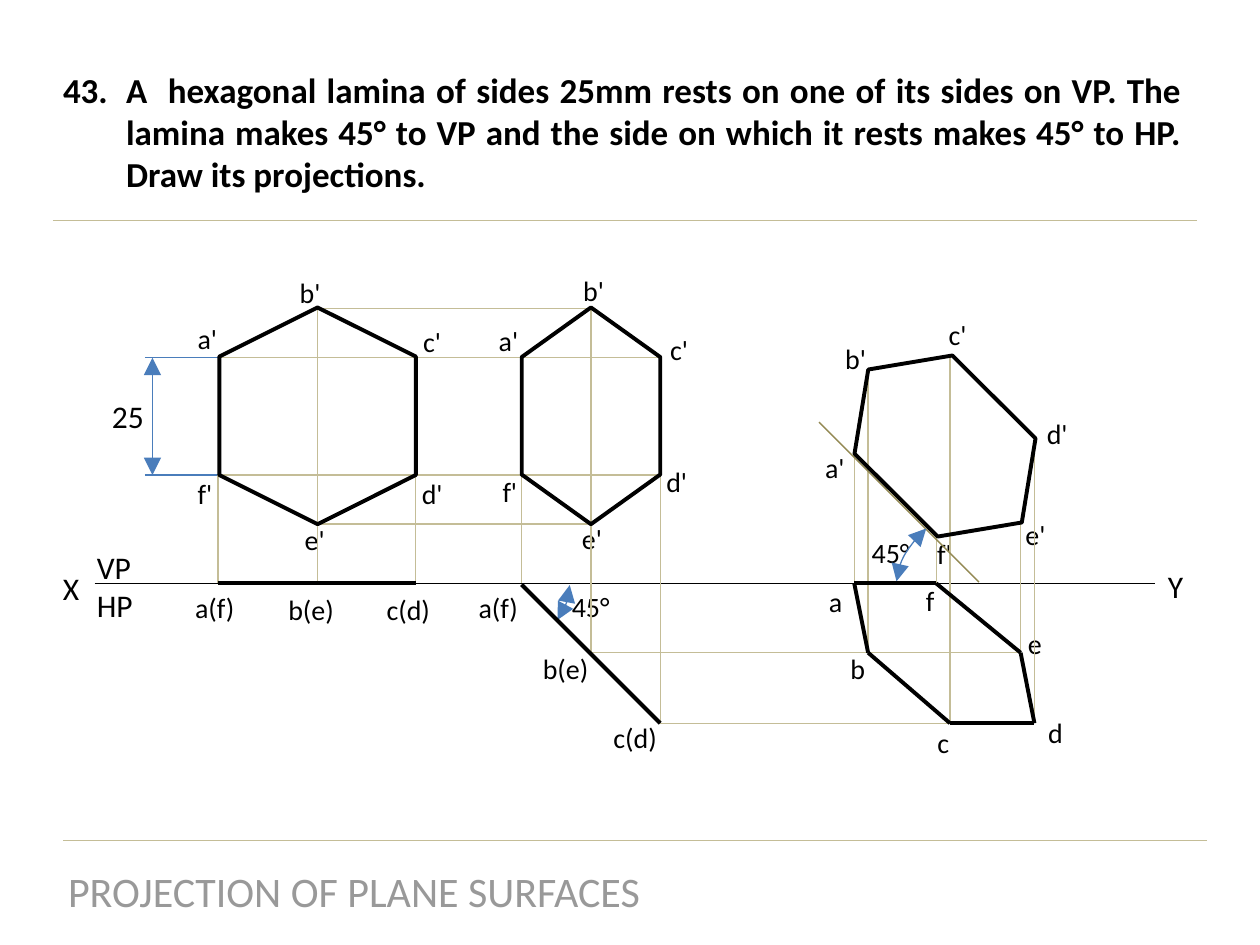
from lxml import etree
from pptx import Presentation
from pptx.dml.color import RGBColor
from pptx.enum.shapes import MSO_CONNECTOR, MSO_SHAPE
from pptx.enum.text import MSO_ANCHOR, MSO_AUTO_SIZE, PP_ALIGN
from pptx.oxml.ns import qn
from pptx.util import Inches, Pt

BLACK = RGBColor(0x00, 0x00, 0x00)
GRAY = RGBColor(0x99, 0x99, 0x99)
BEIGE = RGBColor(0xC4, 0xBD, 0x97)
OLIVE = RGBColor(0x93, 0x89, 0x53)
BLUE = RGBColor(0x4A, 0x7D, 0xBB)
FONT = "Calibri"
THIN, THICK = 0.75, 2.25

PROBLEM = ("A  hexagonal lamina of sides 25mm rests on one of its sides on VP. "
           "The lamina makes 45° to VP and the side on which it rests makes 45° to HP. "
           "Draw its projections.")
TOPIC = "PROJECTION OF PLANE SURFACES"

# Heights shared by the views
XY = 4.63
TOP, UPPER, LOWER, BOTTOM = 2.45, 2.84, 3.77, 4.16
MIDDLE_DEPTH, FULL_DEPTH = 5.18, 5.74
# Columns of the first and second views
LEFT_1, CENTRE_1, RIGHT_1 = 1.73, 2.52, 3.3
LEFT_2, CENTRE_2, RIGHT_2 = 4.14, 4.69, 5.24
# Final top view, by corner
FINAL_TOP = {"a": (6.78, XY), "b": (6.89, MIDDLE_DEPTH), "c": (7.54, FULL_DEPTH),
             "d": (8.21, FULL_DEPTH), "e": (8.1, MIDDLE_DEPTH), "f": (7.43, XY)}
FINAL_FRONT_HEIGHT = {"a": 3.6, "b": 2.93, "c": 2.82, "d": 3.47, "e": 4.14, "f": 4.25}

# Labels: text, left, top
AXIS_LABELS = [("X", 0.4, 4.47), ("Y", 9.17, 4.45), ("VP\nHP", 0.67, 4.3), ("25", 0.79, 3.1)]
POINT_LABELS = [
    # first view
    ("a'", 1.47, 2.5), ("b'", 2.28, 2.14), ("c'", 3.26, 2.53),
    ("d'", 3.25, 3.73), ("e'", 2.32, 4.1), ("f'", 1.47, 3.73),
    ("a(f)", 1.45, 4.64), ("b(e)", 2.19, 4.65), ("c(d)", 2.97, 4.65),
    # second view
    ("a'", 3.86, 2.52), ("b'", 4.53, 2.12), ("c'", 5.22, 2.59),
    ("d'", 5.19, 3.64), ("e'", 4.52, 4.09), ("f'", 3.89, 3.72),
    ("a(f)", 3.7, 4.64), ("b(e)", 4.21, 5.12), ("c(d)", 4.77, 5.67), ("45°", 4.44, 4.63),
    # final view
    ("a'", 6.45, 3.53), ("b'", 6.61, 2.66), ("c'", 7.43, 2.47),
    ("d'", 8.21, 3.26), ("e'", 8.04, 4.06), ("f'", 7.34, 4.21),
    ("a", 6.48, 4.59), ("b", 6.65, 5.12), ("c", 7.34, 5.71),
    ("d", 8.22, 5.63), ("e", 8.06, 4.92), ("f", 7.25, 4.58), ("45°", 6.82, 4.2),
]
# Box widths by label length, for each text size
AXIS_WIDTHS = {1: 0.33, 2: 0.48, 5: 0.49}
POINT_WIDTHS = {1: 0.32, 2: 0.37, 3: 0.56, 4: 0.56}

# Projectors and rules: x1, y1, x2, y2
BEIGE_LINES = [
    (0.5, 6.67, 9.58, 6.67), (0.42, 1.75, 9.5, 1.75),
    (LEFT_1, LOWER, LEFT_1, XY), (CENTRE_1, TOP, CENTRE_1, XY), (RIGHT_1, LOWER, RIGHT_1, XY),
    (LEFT_2, UPPER, LEFT_2, XY), (CENTRE_2, TOP, CENTRE_2, MIDDLE_DEPTH),
    (RIGHT_2, UPPER, RIGHT_2, FULL_DEPTH),
    (CENTRE_1, TOP, CENTRE_2, TOP), (LEFT_1, UPPER, RIGHT_2, UPPER),
    (LEFT_1, LOWER, RIGHT_2, LOWER), (CENTRE_1, BOTTOM, CENTRE_2, BOTTOM),
    (CENTRE_2, MIDDLE_DEPTH, *FINAL_TOP["e"]), (RIGHT_2, FULL_DEPTH, *FINAL_TOP["d"]),
]
EDGE_VIEWS = [(LEFT_1, XY, RIGHT_1, XY), (LEFT_2, XY + 0.01, RIGHT_2, FULL_DEPTH)]

# Hexagons: left, top, width, height, rotation, corner inset
HEXAGONS = [(1.66, 2.52, 1.72, 1.56, 90, 0.25),
            (3.83, 2.75, 1.72, 1.1, 90, 0.358),
            (6.64, 2.99, 1.72, 1.1, 44.9, 0.358)]
# Angle marks: left, top, width, height, rotation, start and end adjustments
ANGLE_ARCS = [(3.96, 4.38, 0.51, 0.79, 34.5, 181.37, 0.28),
              (7.31, 3.77, 0.74, 1.27, 235.8, 170.38, 202.15)]


def set_font(font, size, color, bold=False):
    font.name, font.size, font.bold = FONT, Pt(size), bold
    font.color.rgb = color


def place(box, left, top, width, height):
    box.left, box.top, box.width, box.height = map(Inches, (left, top, width, height))


def add_label(slide, text, left, top, width, size):
    lines = text.count("\n") + 1
    box = slide.shapes.add_textbox(Inches(left), Inches(top), Inches(width),
                                   Inches(0.1 + lines * size / 60))
    box.text_frame.word_wrap = False
    box.text_frame.text = text
    for para in box.text_frame.paragraphs:
        set_font(para.font, size, BLACK)


def add_arrowheads(shape):
    outline = shape.element.spPr.find(qn("a:ln"))
    for end in ("a:headEnd", "a:tailEnd"):
        etree.SubElement(outline, qn(end), type="triangle", w="lg", len="lg")


def add_line(slide, ends, color, weight=THIN):
    line = slide.shapes.add_connector(MSO_CONNECTOR.STRAIGHT, *map(Inches, ends))
    line.line.color.rgb = color
    line.line.width = Pt(weight)
    etree.SubElement(line.element.spPr, qn("a:effectLst"))
    return line


def add_outline(slide, kind, frame, rotation, adjustments, color, weight):
    shape = slide.shapes.add_shape(kind, *map(Inches, frame))
    shape.rotation = rotation
    for index, value in enumerate(adjustments):
        shape.adjustments[index] = value
    shape.shadow.inherit = False
    shape.fill.background()
    shape.line.color.rgb = color
    shape.line.width = Pt(weight)
    return shape


def add_texts(slide):
    title = slide.shapes.title
    place(title, 0.42, 6.82, 4.78, 0.5)
    title.text_frame.text = TOPIC
    title.text_frame.word_wrap = False
    para = title.text_frame.paragraphs[0]
    para.alignment = PP_ALIGN.CENTER
    set_font(para.runs[0].font, 24, GRAY)

    body = slide.placeholders[1]
    place(body, 0.4, 0.49, 9.08, 1.11)
    body.text_frame.text = PROBLEM
    para = body.text_frame.paragraphs[0]
    para.alignment = PP_ALIGN.JUSTIFY
    para.space_before = Pt(0)
    properties = para._p.get_or_add_pPr()
    properties.set("marL", str(Inches(0.5)))
    properties.set("indent", str(Inches(-0.5)))
    etree.SubElement(properties, qn("a:buFont"), typeface="+mj-lt")
    etree.SubElement(properties, qn("a:buAutoNum"), type="arabicPeriod", startAt="43")
    set_font(para.runs[0].font, 20, BLACK, bold=True)

    for box in (title, body):
        box.text_frame.auto_size = MSO_AUTO_SIZE.NONE
        box.text_frame.vertical_anchor = MSO_ANCHOR.TOP
    for labels, widths, size in ((AXIS_LABELS, AXIS_WIDTHS, 18),
                                 (POINT_LABELS, POINT_WIDTHS, 16)):
        for text, left, top in labels:
            add_label(slide, text, left, top, widths[len(text)], size)


def add_drawing(slide):
    add_line(slide, (0.75, XY, 9.17, XY), BLACK)
    for height in (UPPER, LOWER):
        add_line(slide, (1.15, height, LEFT_1, height), BLUE)
    add_arrowheads(add_line(slide, (1.21, UPPER, 1.21, LOWER), BLUE))

    for ends in BEIGE_LINES:
        add_line(slide, ends, BEIGE)
    for corner, (x, y) in FINAL_TOP.items():
        add_line(slide, (x, y, x, FINAL_FRONT_HEIGHT[corner]), BEIGE)
    add_line(slide, (6.5, 3.35, 7.77, 4.62), OLIVE)

    for *frame, rotation, inset in HEXAGONS:
        add_outline(slide, MSO_SHAPE.HEXAGON, frame, rotation, [inset], BLACK, THICK)
    for *frame, rotation, start, end in ANGLE_ARCS:
        arc = add_outline(slide, MSO_SHAPE.ARC, frame, rotation, [start, end], BLUE, THIN)
        add_arrowheads(arc)

    corners = list(FINAL_TOP.values())
    final_sides = [(*start, *end) for start, end in zip(corners, corners[1:] + corners[:1])]
    for ends in EDGE_VIEWS + final_sides:
        add_line(slide, ends, BLACK, THICK)


def main():
    deck = Presentation()
    deck.slide_width, deck.slide_height = Inches(10), Inches(7.5)
    slide = deck.slides.add_slide(deck.slide_layouts[1])
    add_texts(slide)
    add_drawing(slide)
    deck.save("out.pptx")


if __name__ == "__main__":
    main()
